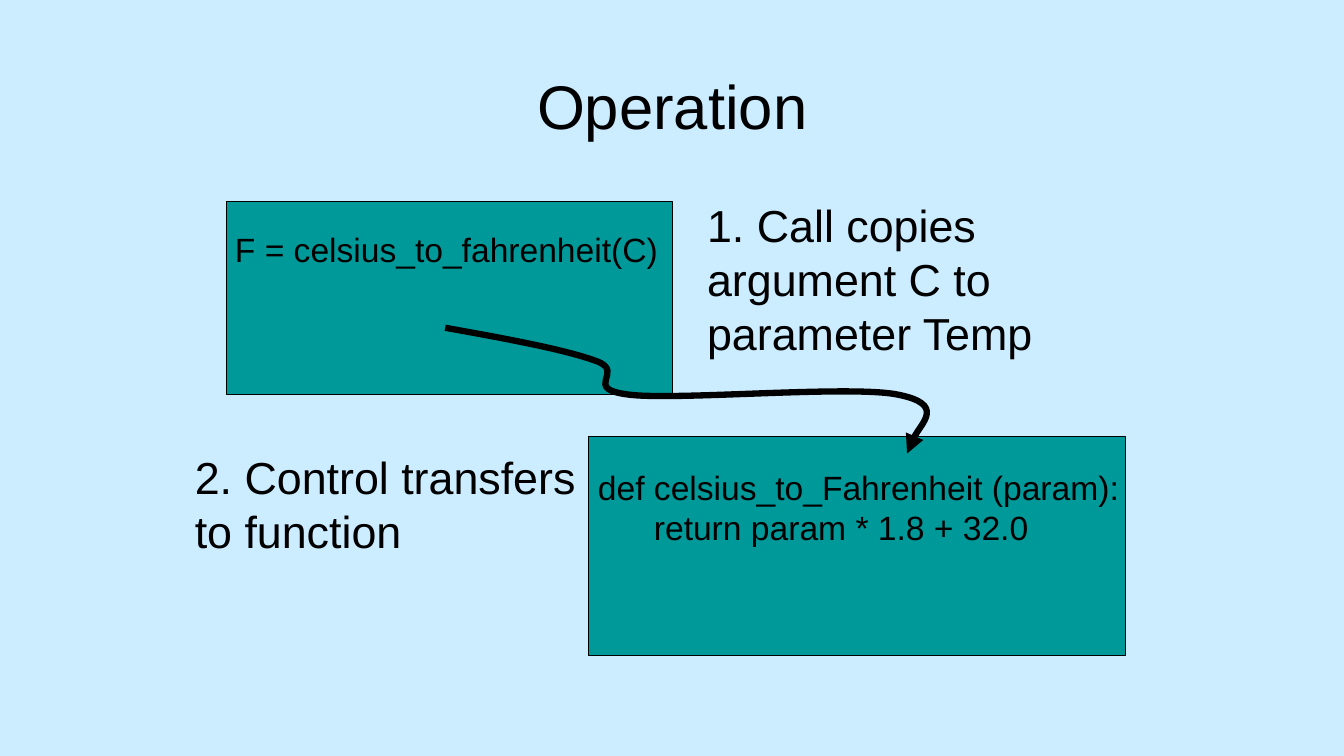
"""Build a slide showing how a function call passes its argument and control."""
import dataclasses

import lxml.etree
import pptx
import pptx.dml.color
import pptx.enum.shapes
import pptx.enum.text
import pptx.oxml.ns
import pptx.shapes.autoshape
import pptx.slide
import pptx.text.text
import pptx.util

Cm = pptx.util.Cm
Point = tuple[float, float]


@dataclasses.dataclass(frozen=True)
class Theme:
    """Colours, fonts and type sizes of the slide."""

    background: str = "CCECFF"
    panel: str = "009999"
    ink: str = "000000"
    font: str = "Arial"
    mono_font: str = "Noto Sans Mono"
    title_size: float = 44
    note_size: float = 32
    mono_size: float = 28
    code_size: float = 24
    outline: float = 0.75
    arrow: float = 4.5


THEME = Theme()


@dataclasses.dataclass(frozen=True)
class Area:
    """A rectangle in centimetres."""

    left: float
    top: float
    width: float
    height: float

    def lengths(self) -> tuple[Cm, Cm, Cm, Cm]:
        """Return the four lengths in slide units."""
        return Cm(self.left), Cm(self.top), Cm(self.width), Cm(self.height)


@dataclasses.dataclass(frozen=True)
class Span:
    """A run of text in one font and size."""

    text: str
    size: float
    font: str = THEME.font


@dataclasses.dataclass(frozen=True)
class Line:
    """A paragraph of spans with a left indent in centimetres."""

    spans: tuple[Span, ...]
    indent: float = 0


@dataclasses.dataclass(frozen=True)
class Label:
    """A text box and its paragraphs."""

    area: Area
    lines: tuple[Line, ...]


TITLE_AREA = Area(6.15, 1.06, 21.59, 3.18)
FUNCTION_PANEL = Area(14.82, 11.01, 13.55, 5.5)
CALL_PANEL = Area(5.72, 5.08, 11.22, 4.87)
FUNCTION_CODE = Label(
    Area(14.82, 11.64, 13.76, 2.31),
    (
        Line((Span("def celsius_to_Fahrenheit (param):", THEME.code_size),)),
        Line((Span("return param * 1.8 + 32.0", THEME.code_size),), indent=1.41),
    ),
)
CALL_CODE = Label(
    Area(5.08, 5.5, 12.7, 2.24),
    (
        Line(
            (
                Span(" ", THEME.mono_size, THEME.mono_font),
                Span("F = celsius_to_fahrenheit(C)", THEME.code_size),
            )
        ),
    ),
)
NOTES = (
    Label(
        Area(17.57, 4.87, 9.74, 4.37),
        (Line((Span("1. Call copies argument C to parameter Temp", THEME.note_size),)),),
    ),
    Label(
        Area(4.66, 11.22, 10.16, 3),
        (Line((Span("2. Control transfers to function", THEME.note_size),)),),
    ),
)
ARROW_START: Point = (11.22, 8.26)
ARROW_CURVES: tuple[tuple[Point, Point, Point], ...] = (
    ((12.73, 8.53), (14.25, 8.81), (15.03, 9.1)),
    ((15.8, 9.38), (14.61, 9.8), (15.88, 9.95)),
    ((17.15, 10.09), (21.49, 9.7), (22.65, 9.95)),
    ((23.82, 10.19), (22.83, 11.18), (22.86, 11.43)),
)


def colour(value: str) -> pptx.dml.color.RGBColor:
    """Turn a hex value into a colour."""
    return pptx.dml.color.RGBColor.from_string(value)


def format_span(run: pptx.text.text._Run, size: float, font: str) -> None:
    """Set the size, font and colour of a run."""
    run.font.size = pptx.util.Pt(size)
    run.font.name = font
    run.font.color.rgb = colour(THEME.ink)


def set_outline(shape: pptx.shapes.autoshape.Shape, width: float) -> None:
    """Give a shape a plain dark line and no shadow."""
    shape.shadow.inherit = False
    shape.line.color.rgb = colour(THEME.ink)
    shape.line.width = pptx.util.Pt(width)


def add_title(page: pptx.slide.Slide, text: str) -> None:
    """Fill and place the title placeholder."""
    title = page.shapes.title
    title.left, title.top, title.width, title.height = TITLE_AREA.lengths()
    title.text_frame.text = text
    title.text_frame.vertical_anchor = pptx.enum.text.MSO_ANCHOR.MIDDLE
    para = title.text_frame.paragraphs[0]
    para.alignment = pptx.enum.text.PP_ALIGN.CENTER
    format_span(para.runs[0], THEME.title_size, THEME.font)


def add_panel(page: pptx.slide.Slide, area: Area) -> None:
    """Draw a filled rectangle."""
    panel = page.shapes.add_shape(
        pptx.enum.shapes.MSO_SHAPE.RECTANGLE, *area.lengths()
    )
    panel.fill.solid()
    panel.fill.fore_color.rgb = colour(THEME.panel)
    set_outline(panel, THEME.outline)


def add_label(page: pptx.slide.Slide, label: Label) -> None:
    """Draw a wrapping text box."""
    box = page.shapes.add_textbox(*label.area.lengths())
    frame = box.text_frame
    frame.word_wrap = True
    frame.auto_size = pptx.enum.text.MSO_AUTO_SIZE.SHAPE_TO_FIT_TEXT
    for index, line in enumerate(label.lines):
        para = frame.add_paragraph() if index else frame.paragraphs[0]
        if line.indent:
            para._p.get_or_add_pPr().set("marL", str(Cm(line.indent)))
        for span in line.spans:
            run = para.add_run()
            run.text = span.text
            format_span(run, span.size, span.font)


def add_curved_arrow(page: pptx.slide.Slide) -> None:
    """Draw the arrow from the call to the function."""
    qn = pptx.oxml.ns.qn
    points = [(Cm(x), Cm(y)) for curve in ARROW_CURVES for x, y in curve]
    builder = page.shapes.build_freeform(*(Cm(value) for value in ARROW_START))
    builder.add_line_segments(points, close=False)
    arrow = builder.convert_to_shape()
    arrow.fill.background()
    set_outline(arrow, THEME.arrow)
    segments = list(arrow._element.iter(qn("a:lnTo")))
    for first in range(0, len(segments), 3):
        curve = lxml.etree.Element(qn("a:cubicBezTo"))
        segments[first].addprevious(curve)
        for segment in segments[first:first + 3]:
            curve.append(segment[0])
            segment.getparent().remove(segment)
    lxml.etree.SubElement(arrow.line._get_or_add_ln(), qn("a:tailEnd"), type="triangle")


def main() -> None:
    """Build and save the deck."""
    deck = pptx.Presentation()
    deck.slide_width, deck.slide_height = Cm(33.87), Cm(19.05)
    page = deck.slides.add_slide(deck.slide_layouts.get_by_name("Title Only"))
    page.background.fill.solid()
    page.background.fill.fore_color.rgb = colour(THEME.background)
    add_title(page, "Operation")
    for panel, code in ((FUNCTION_PANEL, FUNCTION_CODE), (CALL_PANEL, CALL_CODE)):
        add_panel(page, panel)
        add_label(page, code)
    add_label(page, NOTES[0])
    add_curved_arrow(page)
    add_label(page, NOTES[1])
    deck.save("out.pptx")


if __name__ == "__main__":
    main()
